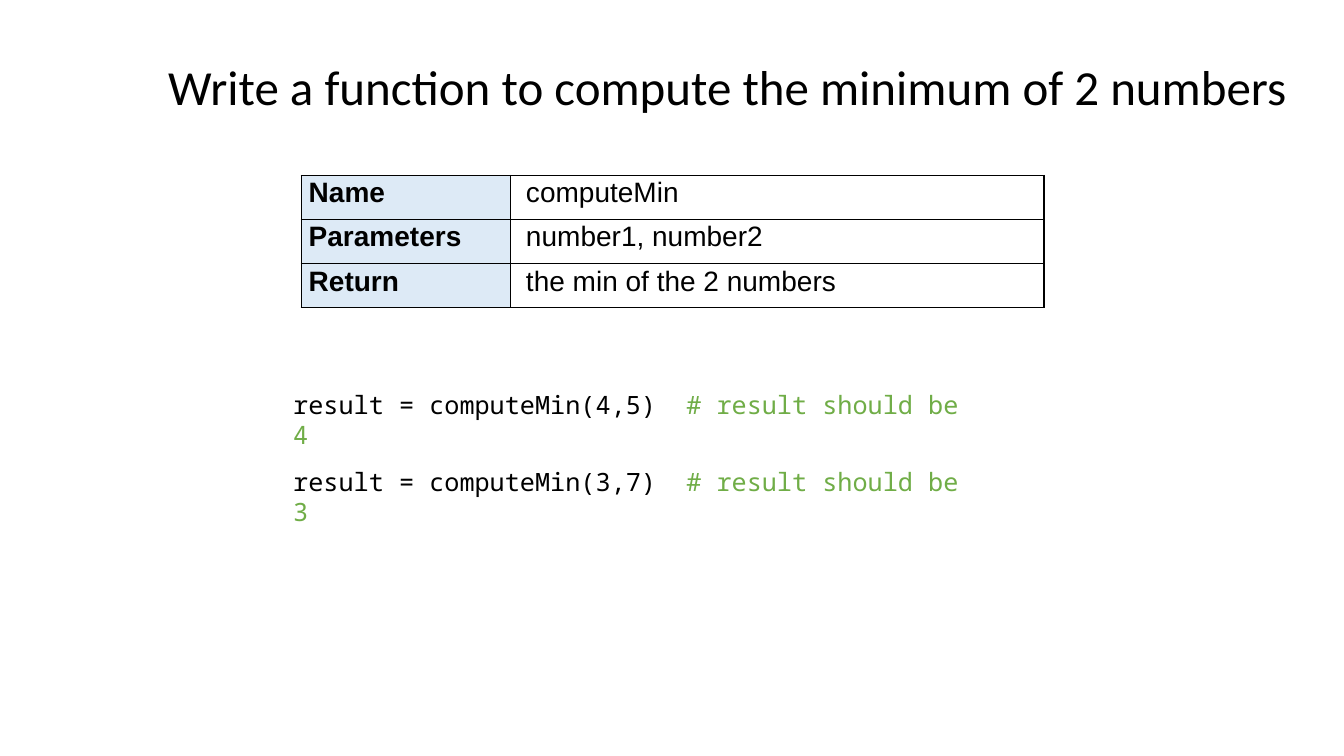
from pptx import Presentation
from pptx.util import Cm, Pt
from pptx.dml.color import RGBColor as Rgb
from pptx.oxml import parse_xml
from pptx.oxml.ns import nsdecls

COLORS = {"ink": "000000", "comment": "70AD47", "label": "DDEAF6"}
TITLE = "Write a function to compute the minimum of 2 numbers"
SIGNATURE = [
    ("Name", "\u00a0computeMin"),
    ("Parameters", "\u00a0number1, number2"),
    ("Return", "\u00a0the min of the 2 numbers"),
]
EXAMPLES = [
    ("result = computeMin(4,5) ", " # result should be 4"),
    ("result = computeMin(3,7) ", " # result should be 3"),
]
COLUMN_WIDTHS = (Cm(5.28), Cm(13.44))
ROW_HEIGHT = Cm(1.11)
EXAMPLE_TOP, EXAMPLE_STEP = Cm(9.68), Cm(1.95)


def style(run, font, size, color="ink", bold=False):
    run.font.name = font
    run.font.size = Pt(size)
    run.font.bold = bold
    run.font.color.rgb = Rgb.from_string(COLORS[color])


def add_line(left, top, width, height, parts, font, size):
    frame = slide.shapes.add_textbox(left, top, width, height).text_frame
    frame.word_wrap = True
    for text, color in parts:
        run = frame.paragraphs[0].add_run()
        run.text = text
        style(run, font, size, color)


def add_borders(cell):
    properties = cell._tc.get_or_add_tcPr()
    for position, side in enumerate(("lnL", "lnR", "lnT", "lnB")):
        properties.insert(position, parse_xml(
            f'<a:{side} {nsdecls("a")} w="{Pt(1)}"><a:solidFill>'
            f'<a:srgbClr val="{COLORS["ink"]}"/></a:solidFill></a:{side}>'))


def fill_cell(cell, text, is_label):
    cell.margin_left = cell.margin_right = Cm(0.19)
    cell.margin_top = cell.margin_bottom = 0
    cell.text_frame.text = text
    paragraph = cell.text_frame.paragraphs[0]
    paragraph.line_spacing = 1.07
    style(paragraph.runs[0], "Arial", 20, bold=is_label)
    if is_label:
        cell.fill.solid()
        cell.fill.fore_color.rgb = Rgb.from_string(COLORS["label"])
    else:
        cell.fill.background()
    add_borders(cell)


deck = Presentation()
deck.slide_width, deck.slide_height = Cm(33.87), Cm(19.05)
slide = deck.slides.add_slide(deck.slide_layouts[6])

add_line(Cm(3.99), Cm(1.3), Cm(28.98), Cm(1.75), [(TITLE, "ink")], "Calibri", 35)

signature = slide.shapes.add_table(
    len(SIGNATURE), len(COLUMN_WIDTHS), Cm(7.59), Cm(4.42),
    sum(COLUMN_WIDTHS), ROW_HEIGHT * len(SIGNATURE)).table
for column, width in zip(signature.columns, COLUMN_WIDTHS):
    column.width = width
for row, texts in zip(signature.rows, SIGNATURE):
    row.height = ROW_HEIGHT
    for index, text in enumerate(texts):
        fill_cell(row.cells[index], text, index == 0)

for index, (call, comment) in enumerate(EXAMPLES):
    add_line(Cm(7.14), EXAMPLE_TOP + index * EXAMPLE_STEP, Cm(17.96), Cm(1.02),
             [(call, "ink"), (comment, "comment")], "Noto Sans Mono", 18)

deck.save("out.pptx")
